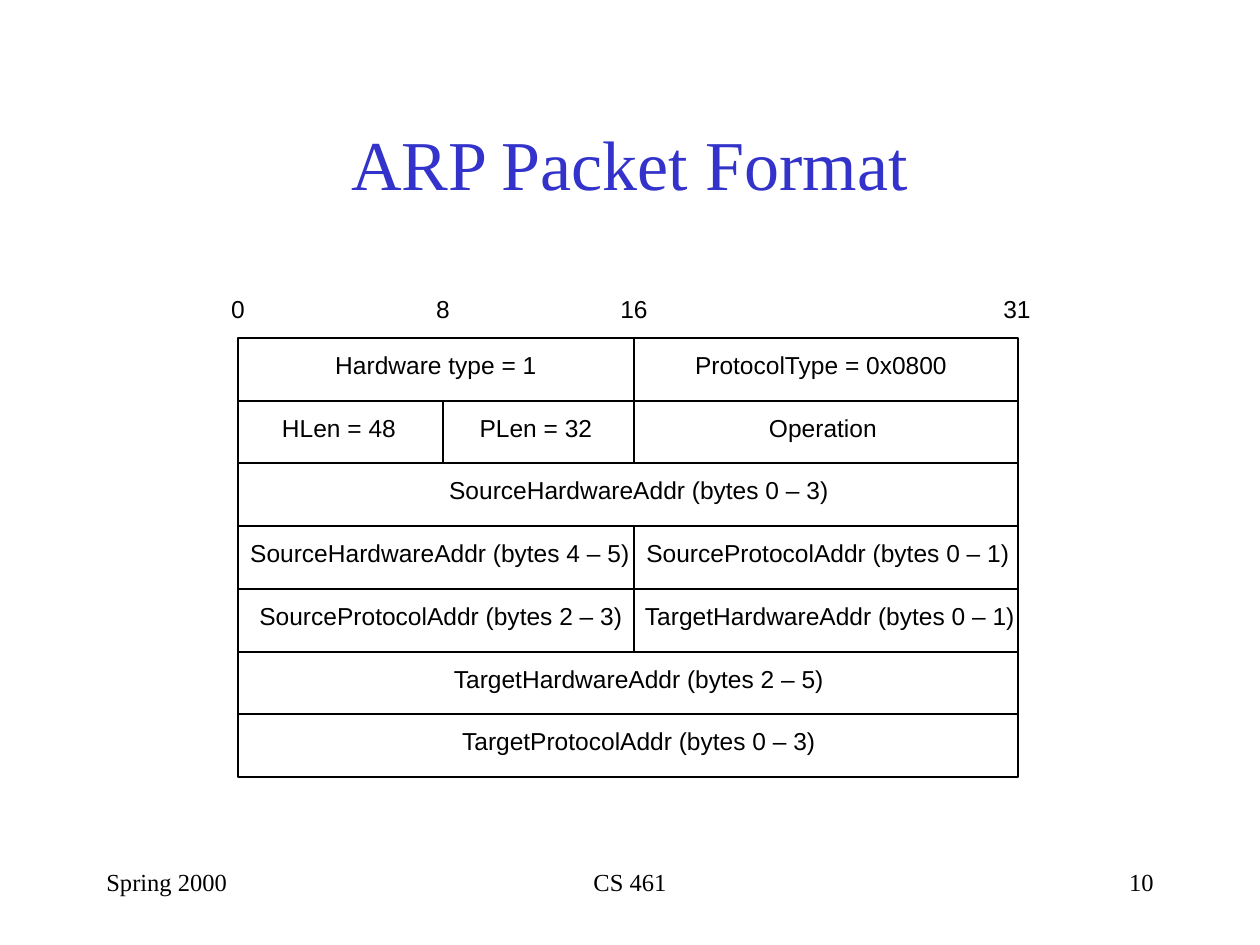
from lxml import etree
from pptx import Presentation
from pptx import util as u
from pptx.dml.color import RGBColor
from pptx.enum import shapes, text
from pptx.oxml.ns import qn

# Content: each packet row lists its fields as (centre px, label)
TITLE = "ARP Packet Format"
BITS = [(238, "0"), (443, "8"), (634, "16"), (1017, "31")]
ROWS = [
    [(436, "Hardware type = 1"), (821, "ProtocolType = 0x0800")],
    [(339, "HLen = 48"), (536, "PLen = 32"), (823, "Operation")],
    [(639, "SourceHardwareAddr (bytes 0 – 3)")],
    [(440, "SourceHardwareAddr (bytes 4 – 5)"), (828, "SourceProtocolAddr (bytes 0 – 1)")],
    [(441, "SourceProtocolAddr (bytes 2 – 3)"), (830, "TargetHardwareAddr (bytes 0 – 1)")],
    [(639, "TargetHardwareAddr (bytes 2 – 5)")],
    [(639, "TargetProtocolAddr (bytes 0 – 3)")],
]
DIVIDERS = [(634, 0, 2), (634, 3, 5), (443, 1, 2)]  # x px, first and last row edge
FOOTERS = [
    (94, 263, "Spring 2000", text.PP_ALIGN.LEFT),
    (430, 400, "CS 461", text.PP_ALIGN.CENTER),
    (903, 263, "10", text.PP_ALIGN.RIGHT),
]

BLACK = RGBColor(0, 0, 0)
BLUE = RGBColor(0x33, 0x33, 0xCC)
LEFT, TOP, RIGHT, BOTTOM = 238, 338, 1018, 777
LABEL_HEIGHT, LABEL_OFFSET, BITS_TOP = 29, 12, 294
LINE_WIDTH = u.Pt(0.88)


def px(value):
    return u.Emu(round(value * 914400 / 126))


def row_edge(row):
    return TOP + round(row * (BOTTOM - TOP) / len(ROWS))


def format_text(shape, words, size, font, color, align):
    paragraph = shape.text_frame.paragraphs[0]
    paragraph.text = words
    paragraph.alignment = align
    paragraph.font.size = u.Pt(size)
    paragraph.font.name = font
    paragraph.font.color.rgb = color


def add_label(center, top, words):
    width = 12 * len(words) + 20  # roomy enough to stay on one line
    shape = slide.shapes.add_textbox(px(center - width / 2), px(top), px(width), px(LABEL_HEIGHT))
    frame = shape.text_frame
    frame.margin_left = frame.margin_right = frame.margin_top = frame.margin_bottom = 0
    frame.word_wrap = False
    format_text(shape, words, 14, "Arial", BLACK, text.PP_ALIGN.CENTER)


def add_line(x1, y1, x2, y2):
    line = slide.shapes.add_connector(shapes.MSO_CONNECTOR.STRAIGHT, px(x1), px(y1), px(x2), px(y2))
    line.line.color.rgb = BLACK
    line.line.width = LINE_WIDTH
    etree.SubElement(line._element.spPr, qn("a:effectLst"))


presentation = Presentation()
presentation.slide_width, presentation.slide_height = px(1260), px(945)
slide = presentation.slides.add_slide(presentation.slide_layouts[5])

# Title
title = slide.shapes.title
title.left, title.top, title.width, title.height = px(94), px(84), px(1071), px(158)
title.text_frame.vertical_anchor = text.MSO_ANCHOR.MIDDLE
format_text(title, TITLE, 40, "Times New Roman", BLUE, text.PP_ALIGN.CENTER)

# Packet outline
outline = slide.shapes.add_shape(
    shapes.MSO_SHAPE.RECTANGLE, px(LEFT), px(TOP), px(RIGHT - LEFT), px(BOTTOM - TOP))
outline.shadow.inherit = False
outline.fill.background()
outline.line.color.rgb = BLACK
outline.line.width = LINE_WIDTH

# Row and field dividers
for row in range(1, len(ROWS)):
    add_line(LEFT, row_edge(row), RIGHT, row_edge(row))
for x, first, last in DIVIDERS:
    add_line(x, row_edge(first), x, row_edge(last))

# Field labels
for row, fields in enumerate(ROWS):
    for center, words in fields:
        add_label(center, row_edge(row) + LABEL_OFFSET, words)

# Bit positions
for center, words in BITS:
    add_label(center, BITS_TOP, words)

# Footer
for left, width, words, align in FOOTERS:
    footer = slide.shapes.add_textbox(px(left), px(861), px(width), px(63))
    footer.text_frame.word_wrap = True
    format_text(footer, words, 14, "Times New Roman", BLACK, align)

presentation.save("out.pptx")
